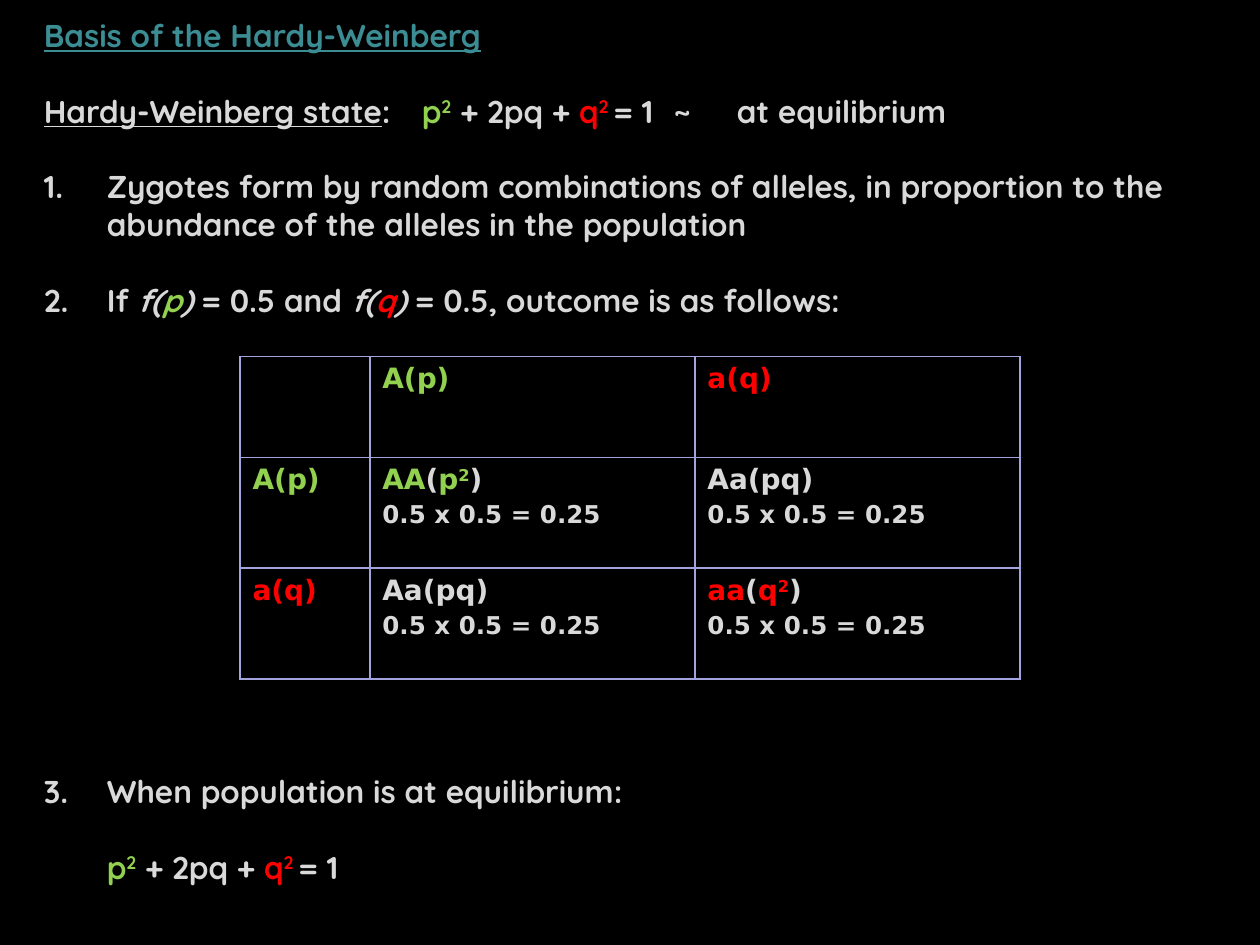
from lxml import etree
from pptx import Presentation
from pptx import util as u
from pptx.dml.color import RGBColor
from pptx.enum import text
from pptx.oxml.ns import qn

W, H = 10, 7.5
LINE = 21.6
COLORS = {
    "ground": "000000", "title": "3C8C93", "plain": "D9D9D9",
    "p": "92D050", "q": "FF0000", "border": "A3A3E0",
}
BODY = {"name": "Quicksand", "size": u.Pt(18), "bold": True}
GENOTYPE = {"name": "DejaVu Sans", "size": u.Pt(16), "bold": True}
PRODUCT = {**GENOTYPE, "size": u.Pt(14)}
UNDER = {"underline": True}
ITALIC = {"italic": True}
SUPER = {"base": 30000}

EQUATION = [("p", "p"), ("2", "p", SUPER), (" + 2pq + ", "plain"),
            ("q", "q"), ("2 ", "q", SUPER), ("= 1", "plain")]
STATE = [("Hardy-Weinberg state", "plain", UNDER), (":\t", "plain"),
         *EQUATION, ("\t~\tat equilibrium", "plain")]
ZYGOTES = [("Zygotes form by random combinations of alleles, in proportion "
            "to the abundance of the alleles in the population", "plain")]
OUTCOME = [("If ", "plain"), ("f(", "plain", ITALIC), ("p", "p", ITALIC),
           (")", "plain", ITALIC), (" = 0.5 and ", "plain"),
           ("f(", "plain", ITALIC), ("q", "q", ITALIC),
           (")", "plain", ITALIC), (" = 0.5, outcome is as follows:", "plain")]
BALANCE = [("When population is at equilibrium:", "plain")]

ALLELE_P = [("A(p)", "p")]
ALLELE_Q = [("a(q)", "q")]
MIXED = [("Aa(pq)", "plain")]
CROSSES = [
    [None, ALLELE_P, ALLELE_Q],
    [ALLELE_P, [("AA", "p"), ("(", "plain"), ("p", "p"),
                ("2", "p", SUPER), (")", "plain")], MIXED],
    [ALLELE_Q, MIXED, [("aa", "q"), ("(", "plain"), ("q", "q"),
                       ("2", "q", SUPER), (")", "plain")]],
]


def rgb(key):
    return RGBColor.from_string(COLORS[key])


def add_runs(p, runs, base):
    for content, color, *extra in runs:
        r = p.add_run()
        r.text = content
        r.font.color.rgb = rgb(color)
        for key, value in {**base, **(extra[0] if extra else {})}.items():
            if key == "base":
                r.font._element.set("baseline", str(value))
            else:
                setattr(r.font, key, value)


def set_indent(p, left, first):
    pPr = p._p.get_or_add_pPr()
    pPr.set("marL", str(u.Inches(left)))
    pPr.set("indent", str(u.Inches(first)))
    return pPr


def add_body(s):
    sp = s.shapes.add_textbox(u.Inches(0.025 * W), u.Inches(0.08),
                              u.Inches(0.95 * W), u.Inches(7))
    tf = sp.text_frame
    tf.word_wrap = True
    tf.auto_size = text.MSO_AUTO_SIZE.NONE
    lines = [
        ([("Basis of the Hardy-Weinberg", "title", UNDER)], 0, None, 0),
        (STATE, 1, None, 0),
        (ZYGOTES, 1, 1, 0.5),
        (OUTCOME, 1, 2, 0.5),
        (BALANCE, 12, 3, 0.5),
        (EQUATION, 1, None, 0.5),
    ]
    for i, (runs, gap, number, left) in enumerate(lines):
        p = tf.add_paragraph() if i else tf.paragraphs[0]
        p.line_spacing = u.Pt(LINE)
        p.space_before = u.Pt(gap * LINE)
        pPr = set_indent(p, left, -left if number else 0)
        if number:
            etree.SubElement(pPr, qn("a:buFont"), typeface="+mj-lt")
            etree.SubElement(pPr, qn("a:buAutoNum"), type="arabicPeriod",
                             startAt=str(number))
        else:
            etree.SubElement(pPr, qn("a:buNone"))
        if runs is STATE:
            tabs = etree.SubElement(pPr, qn("a:tabLst"))
            for stop in (3.52, 5.72, 6.06):
                etree.SubElement(tabs, qn("a:tab"), pos=str(u.Inches(stop)),
                                 algn="l")
        add_runs(p, runs, BODY)


def set_borders(cell):
    tcPr = cell._tc.get_or_add_tcPr()
    for i, side in enumerate(("lnL", "lnR", "lnT", "lnB")):
        ln = etree.Element(qn("a:" + side), w=str(u.Pt(1)))
        fill = etree.SubElement(ln, qn("a:solidFill"))
        etree.SubElement(fill, qn("a:srgbClr"), val=COLORS["border"])
        tcPr.insert(i, ln)


def add_crosses(s):
    widths, heights = (1.03, 2.58, 2.58), (0.8, 0.88, 0.88)
    frame = s.shapes.add_table(3, 3, u.Inches((W - sum(widths)) / 2),
                               u.Inches(2.83), u.Inches(sum(widths)),
                               u.Inches(sum(heights)))
    table = frame.table
    table.first_row = table.horz_banding = False
    for column, width in zip(table.columns, widths):
        column.width = u.Inches(width)
    for row, height in zip(table.rows, heights):
        row.height = u.Inches(height)
    for i, row in enumerate(CROSSES):
        for j, runs in enumerate(row):
            cell = table.cell(i, j)
            cell.fill.solid()
            cell.fill.fore_color.rgb = rgb("ground")
            set_borders(cell)
            if runs:
                add_runs(cell.text_frame.paragraphs[0], runs, GENOTYPE)
            if i and j:
                p = cell.text_frame.add_paragraph()
                p.space_before = u.Pt(2.8)
                add_runs(p, [("0.5 x 0.5 = 0.25", "plain")], PRODUCT)


def main():
    prs = Presentation()
    prs.slide_width, prs.slide_height = u.Inches(W), u.Inches(H)
    s = prs.slides.add_slide(prs.slide_layouts[6])
    s.background.fill.solid()
    s.background.fill.fore_color.rgb = rgb("ground")
    add_body(s)
    add_crosses(s)
    prs.save("out.pptx")


if __name__ == "__main__":
    main()
